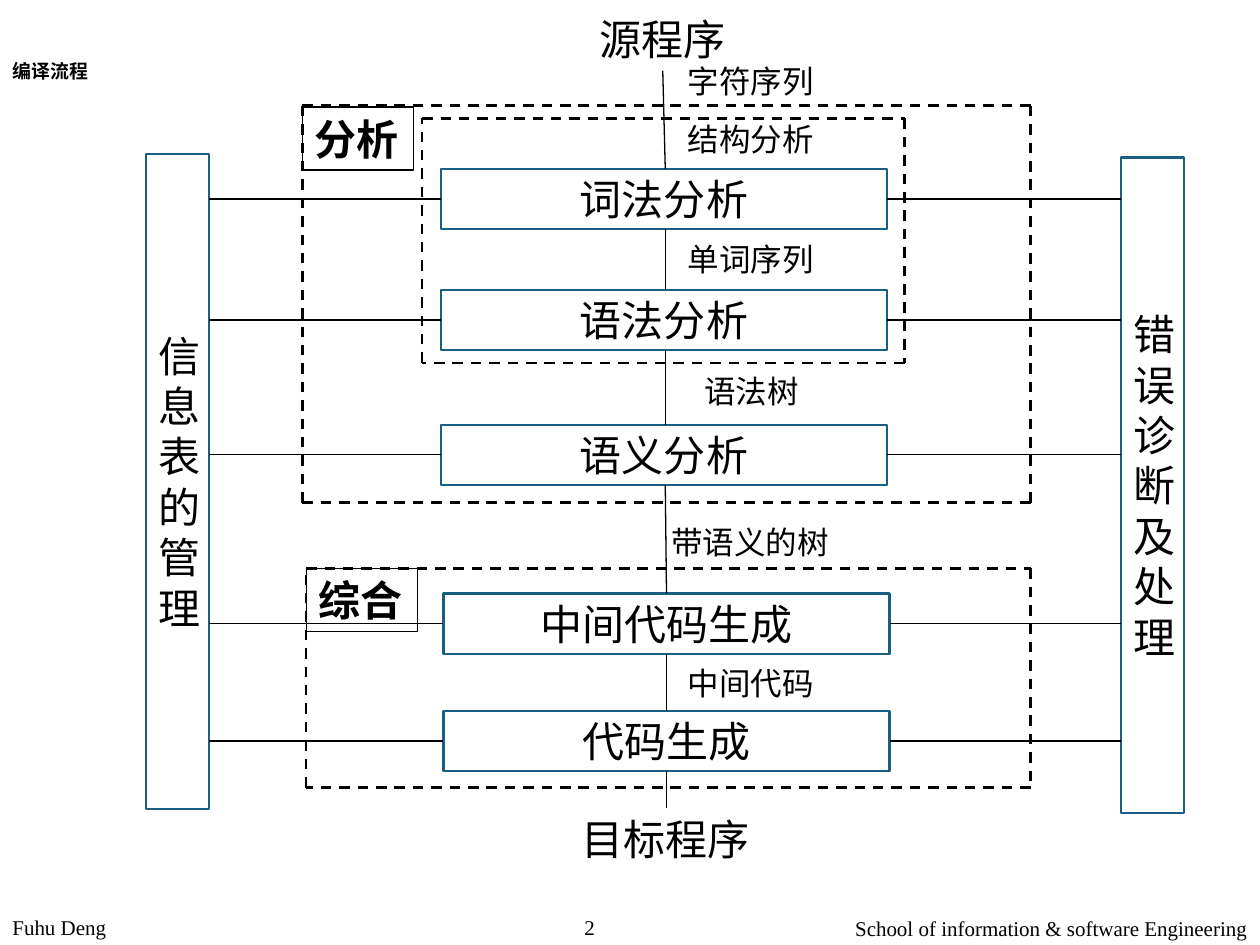
from dataclasses import dataclass

from lxml.etree import SubElement
from pptx import Presentation
from pptx.dml.color import RGBColor
from pptx.enum.dml import MSO_LINE
from pptx.enum.shapes import MSO_CONNECTOR, MSO_SHAPE
from pptx.enum.text import MSO_ANCHOR, MSO_AUTO_SIZE, PP_ALIGN
from pptx.oxml.ns import qn
from pptx.util import Inches, Pt


@dataclass(frozen=True)
class Theme:
    ink: RGBColor = RGBColor(0x00, 0x00, 0x00)
    border: RGBColor = RGBColor(0x19, 0x5F, 0x84)
    body_font: str = "Calibri"
    title_font: str = "Arial"
    footer_font: str = "Times New Roman"
    stage_size: float = 24
    note_size: float = 18
    footer_size: float = 12
    title_size: float = 10.8
    thin: float = 0.75
    box_line: float = 1.25
    dash_line: float = 1.5


@dataclass(frozen=True)
class Box:
    text: str
    x: float
    y: float
    w: float
    h: float

    @property
    def mid_y(self) -> float:
        return self.y + self.h / 2


@dataclass(frozen=True)
class Frame:
    left: float
    top: float
    right: float
    bottom: float


THEME = Theme()
STAGE_W, STAGE_H = 3.54, 0.48

SYMBOLS = Box("信息表的管理", 1.16, 1.22, 0.5, 5.2)
ERRORS = Box("错误诊断及处理", 8.9, 1.25, 0.5, 5.2)
STAGES = [Box(text, x, y, STAGE_W, STAGE_H) for text, x, y in (
    ("词法分析", 3.5, 1.34), ("语法分析", 3.5, 2.3), ("语义分析", 3.5, 3.37),
    ("中间代码生成", 3.52, 4.71), ("代码生成", 3.52, 5.64))]
ENDS = [Box("源程序", 4.66, 0.06, 1.21, 0.5), Box("目标程序", 4.52, 6.41, 1.55, 0.5)]
NOTES = [Box(text, x, y, w, 0.4) for text, x, y, w in (
    ("字符序列", 5.36, 0.44, 1.21), ("结构分析", 5.36, 0.9, 1.21),
    ("单词序列", 5.36, 1.86, 1.21), ("语法树", 5.49, 2.9, 0.96),
    ("带语义的树", 5.23, 4.1, 1.46), ("中间代码", 5.36, 5.22, 1.21))]
FRAMES = [Frame(2.4, 0.84, 8.18, 3.99), Frame(3.35, 0.94, 7.18, 2.88),
          Frame(2.43, 4.51, 8.18, 6.25)]
PHASES = [(Box("分析", 2.4, 0.85, 0.88, 0.5), 0.75),
          (Box("综合", 2.43, 4.51, 0.88, 0.5), 0.25)]
FOOTERS = [(Box("Fuhu Deng", 0, 7.21, 4.21, 0.28), PP_ALIGN.LEFT),
           (Box("School of information & software Engineering", 5.21, 7.22, 4.79, 0.28),
            PP_ALIGN.RIGHT),
           (Box("2", 4.21, 7.21, 0.94, 0.29), PP_ALIGN.CENTER)]


def write(sp, text: str, *, size: float, font: str = THEME.body_font,
          bold: bool = False, align=PP_ALIGN.LEFT, anchor=MSO_ANCHOR.TOP,
          wrap: bool = True) -> None:
    tf = sp.text_frame
    tf.word_wrap = wrap
    tf.auto_size = MSO_AUTO_SIZE.NONE
    tf.vertical_anchor = anchor
    p = tf.paragraphs[0]
    p.alignment = align
    r = p.add_run()
    r.text = text
    r.font.size = Pt(size)
    r.font.name = font
    r.font.bold = bold
    r.font.color.rgb = THEME.ink


def place(sp, box: Box) -> None:
    sp.left, sp.top = Inches(box.x), Inches(box.y)
    sp.width, sp.height = Inches(box.w), Inches(box.h)


def bounds(box: Box) -> list:
    return [Inches(v) for v in (box.x, box.y, box.w, box.h)]


def add_text(s, box: Box, **fmt) -> None:
    write(s.shapes.add_textbox(*bounds(box)), box.text, **fmt)


def add_box(s, box: Box, color: RGBColor, width: float, **fmt) -> None:
    sp = s.shapes.add_shape(MSO_SHAPE.RECTANGLE, *bounds(box))
    sp.shadow.inherit = False
    sp.fill.background()
    sp.line.color.rgb = color
    sp.line.width = Pt(width)
    write(sp, box.text, size=THEME.stage_size, **fmt)


def add_line(s, x1: float, y1: float, x2: float, y2: float,
             width: float = THEME.thin, dashed: bool = False) -> None:
    line = s.shapes.add_connector(
        MSO_CONNECTOR.STRAIGHT, *(Inches(v) for v in (x1, y1, x2, y2)))
    line.line.color.rgb = THEME.ink
    line.line.width = Pt(width)
    if dashed:
        line.line.dash_style = MSO_LINE.DASH
    SubElement(line._element.spPr, qn("a:effectLst"))


def add_frame(s, f: Frame) -> None:
    corners = [(f.left, f.top), (f.right, f.top), (f.right, f.bottom), (f.left, f.bottom)]
    for start, end in zip(corners, corners[1:] + corners[:1]):
        add_line(s, *start, *end, width=THEME.dash_line, dashed=True)


def main() -> None:
    prs = Presentation()
    prs.slide_width, prs.slide_height = Inches(10), Inches(7.5)
    s = prs.slides.add_slide(prs.slide_layouts[5])

    # Title and footer
    title = Box("编译流程", 0, 0.05, 2.16, 1.02)
    place(s.shapes.title, title)
    write(s.shapes.title, title.text, size=THEME.title_size, font=THEME.title_font,
          bold=True, anchor=MSO_ANCHOR.MIDDLE)
    for box, align in FOOTERS:
        add_text(s, box, size=THEME.footer_size, font=THEME.footer_font, align=align)

    # Side columns: one character to a line
    for box in (SYMBOLS, ERRORS):
        add_box(s, box, THEME.border, THEME.box_line, anchor=MSO_ANCHOR.MIDDLE)

    # Compiler stages, each joined to both side columns
    for box in STAGES:
        add_box(s, box, THEME.border, THEME.box_line,
                align=PP_ALIGN.CENTER, anchor=MSO_ANCHOR.MIDDLE)
        add_line(s, SYMBOLS.x + SYMBOLS.w, box.mid_y, box.x, box.mid_y)
        add_line(s, box.x + box.w, box.mid_y, ERRORS.x, box.mid_y)

    # Flow from source program to target program
    source, target = ENDS
    chain = [source, *STAGES, target]
    spine = [5.26, 5.28, 5.28, 5.28, 5.29, 5.29, 5.29]
    for i, (upper, lower) in enumerate(zip(chain, chain[1:])):
        add_line(s, spine[i], upper.y + upper.h, spine[i + 1], lower.y)
    for box in ENDS:
        add_text(s, box, size=THEME.stage_size, wrap=False)

    # Dashed phase frames and their labels
    for frame in FRAMES:
        add_frame(s, frame)
    for box, width in PHASES:
        add_box(s, box, THEME.ink, width, bold=True, wrap=False)

    # What passes between the stages
    for box in NOTES:
        add_text(s, box, size=THEME.note_size, wrap=False)

    prs.save("out.pptx")


if __name__ == "__main__":
    main()
